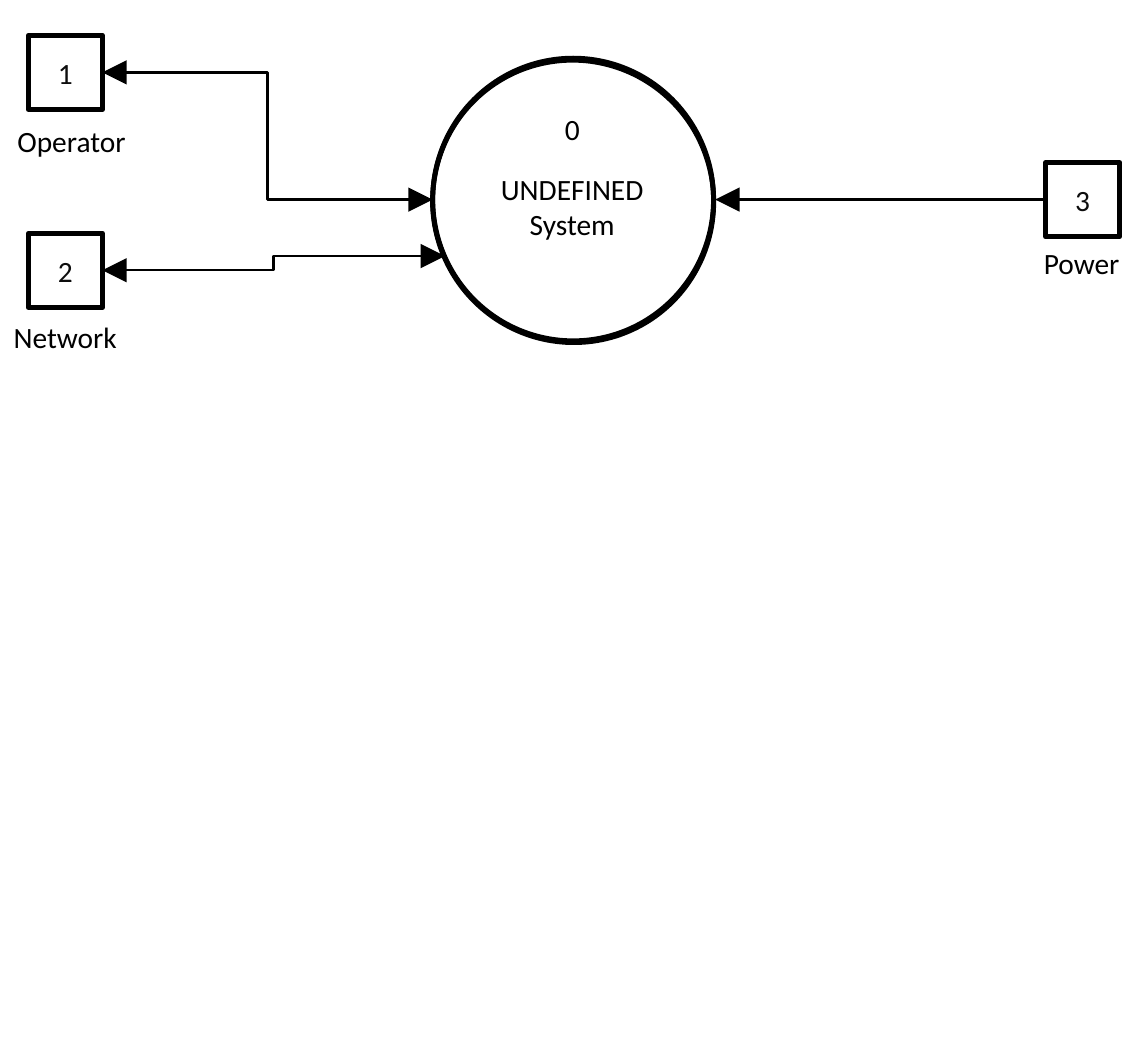
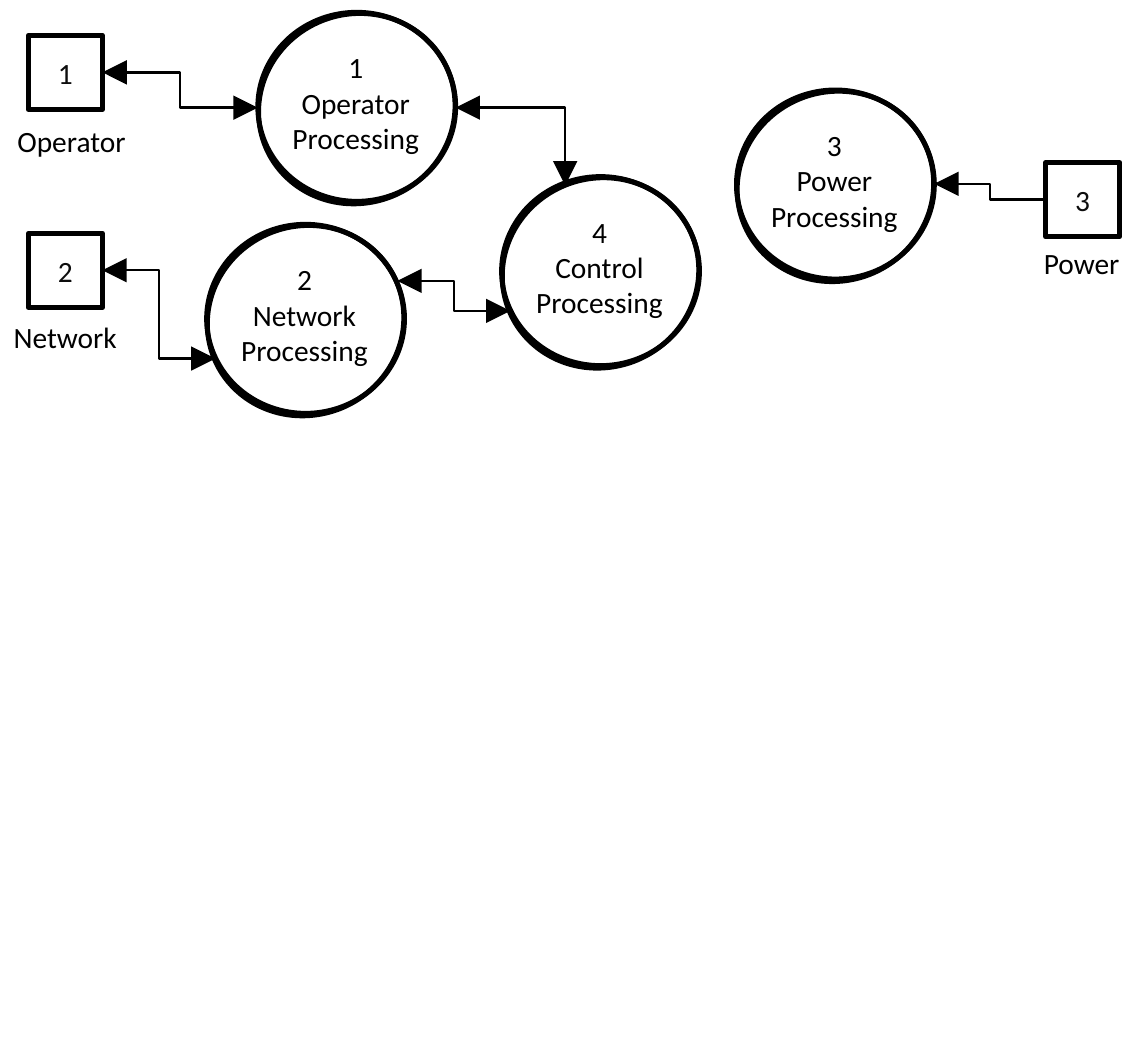
from lxml import etree
from pptx import Presentation
from pptx.dml.color import RGBColor
from pptx.enum import shapes, text
from pptx.oxml.ns import qn
from pptx.util import Pt

PX = 9144
BLACK, INK = "000000", "0D0D0D"
FONT, SIZE = "Calibri", 12
SIDE = 42
MID, LEFT = text.PP_ALIGN.CENTER, text.PP_ALIGN.LEFT


def color(item, tone):
    item.rgb = RGBColor.from_string(tone)


def write(shape, words, tone, align=MID):
    frame = shape.text_frame
    frame.text = words
    for para in frame.paragraphs:
        para.alignment = align
        for run in para.runs:
            run.font.name = FONT
            run.font.size = Pt(SIZE)
            color(run.font.color, tone)
    return frame


nodes = [
    ("1", 16, 20, "Operator", 0, 65, 82, LEFT),
    ("2", 16, 132, "Network", -3, 176, 80, MID),
    ("3", 592, 92, "Power", 579, 134, 67, MID),
]
pages = [
    {
        "rings": [(245, 33, 159, 160, "0\nUNDEFINED\nSystem", 28, 25, 102, 84, 10)],
        "flows": [
            (58, 41, 245, 113, True, False),
            (58, 153, 252, 145, True, False),
            (405, 113, 592, 113, False, False),
        ],
    },
    {
        "rings": [
            (x, y, 112, 107, words + "\nProcessing", 9, 16, 93, 71, 0)
            for x, y, words in [
                (417, 51, "3\nPower"),
                (146, 7, "1\nOperator"),
                (117, 127, "2\nNetwork"),
                (284, 100, "4\nControl"),
            ]
        ],
        "flows": [
            (58, 41, 146, 61, True, False),
            (58, 153, 122, 203, True, False),
            (529, 104, 592, 113, False, False),
            (225, 159, 289, 176, True, False),
            (258, 61, 320, 105, True, True),
        ],
    },
]

deck = Presentation()
deck.slide_width = 650 * PX
deck.slide_height = 600 * PX

for page in pages:
    slide = deck.slides.add_slide(deck.slide_layouts[6])

    for x, y, wide, high, words, dx, dy, w, h, gap in page["rings"]:
        group = slide.shapes.add_group_shape()
        for turn, drop in ((0, 0), (337, 1)):
            ring = group.shapes.add_shape(
                shapes.MSO_SHAPE.OVAL, x * PX, (y + drop) * PX, wide * PX, high * PX
            )
            ring.rotation = turn
            ring.shadow.inherit = False
            ring.fill.background()
            color(ring.line.color, BLACK)
            ring.line.width = Pt(2)
        box = group.shapes.add_textbox((x + dx) * PX, (y + dy) * PX, w * PX, h * PX)
        frame = write(box, words, BLACK)
        frame.word_wrap = False
        frame.auto_size = text.MSO_AUTO_SIZE.SHAPE_TO_FIT_TEXT
        frame.paragraphs[0].space_after = Pt(gap)

    for mark, x, y, name, left, top, wide, align in nodes:
        node = slide.shapes.add_shape(
            shapes.MSO_SHAPE.RECTANGLE, x * PX, y * PX, SIDE * PX, SIDE * PX
        )
        node.shadow.inherit = False
        node.fill.background()
        color(node.line.color, BLACK)
        node.line.width = Pt(2)
        write(node, mark, INK).vertical_anchor = text.MSO_ANCHOR.MIDDLE
        label = slide.shapes.add_textbox(left * PX, top * PX, wide * PX, 30 * PX)
        frame = write(label, name, BLACK, align)
        frame.word_wrap = False
        frame.auto_size = text.MSO_AUTO_SIZE.SHAPE_TO_FIT_TEXT

    for x, y, right, low, both, bend in page["flows"]:
        flow = slide.shapes.add_connector(
            shapes.MSO_CONNECTOR.ELBOW, x * PX, y * PX, right * PX, low * PX
        )
        color(flow.line.color, BLACK)
        flow.line.width = Pt(1)
        props = flow._element.spPr
        if bend:
            props.find(qn("a:prstGeom")).set("prst", "bentConnector2")
        for end in ("a:headEnd", "a:tailEnd")[: 1 + both]:
            etree.SubElement(
                props.find(qn("a:ln")), qn(end), type="triangle", w="lg", len="lg"
            )
        etree.SubElement(props, qn("a:effectLst"))

deck.save("out.pptx")
